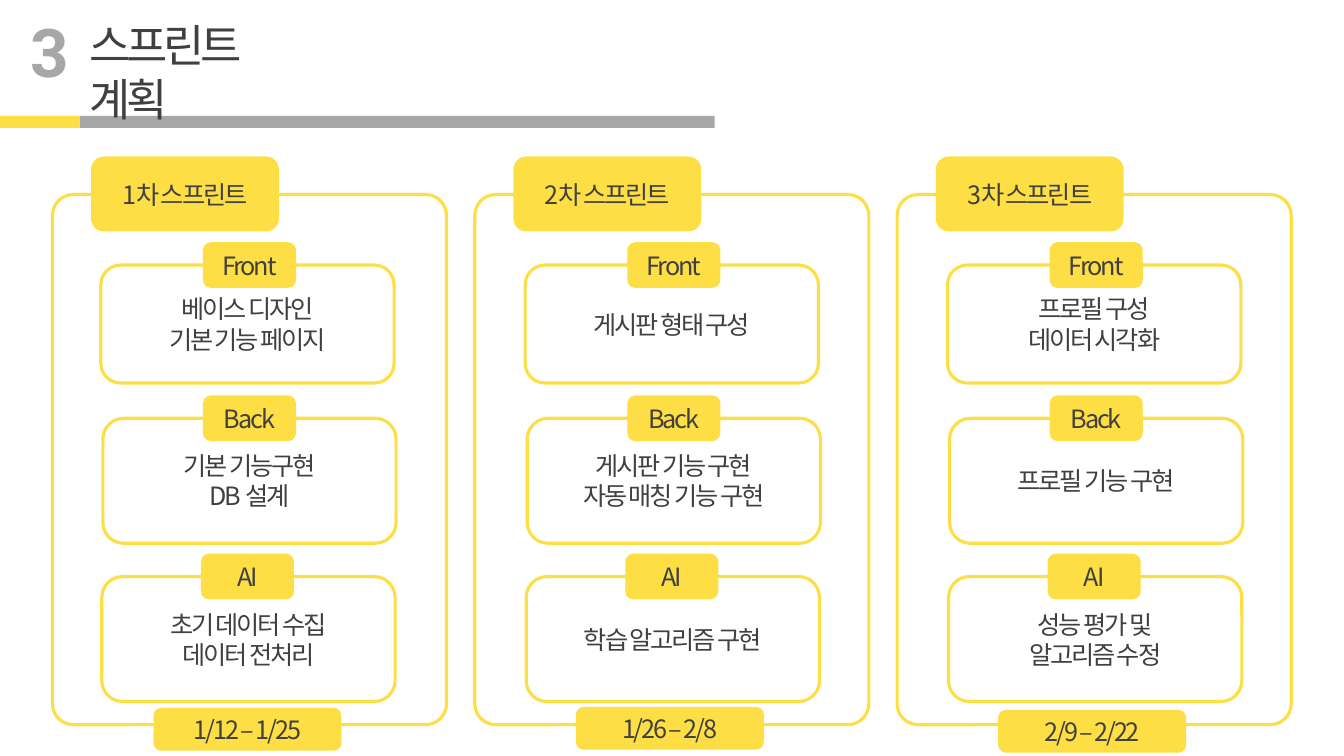
from lxml import etree
from pptx import Presentation
from pptx.dml.color import RGBColor
from pptx.enum import shapes, text
from pptx.oxml import ns
from pptx import util as u

CELL = u.Inches(0.1)  # grid unit for every length below
COLS, ROWS = 133.33, 75
FIRST, PITCH = 5.2, 41.9  # left edge of first sprint, step between sprints
PAL = {"sun": "FDDE45", "gray": "A6A7A9", "ink": "404040"}
RECT = shapes.MSO_SHAPE.RECTANGLE
ROUND = shapes.MSO_SHAPE.ROUNDED_RECTANGLE
BODY = {"size": 18, "face": "Noto Sans CJK KR", "hue": "ink", "gap": -150}
HEAD = {"size": 32, "face": "Roboto", "hue": "ink", "gap": -300}
NUM = {"size": 48, "face": "Roboto", "hue": "gray", "bold": True}

# team, box left, box top, box height, label left (lefts count from the sprint)
TEAMS = [
    ("Front", 4.8, 26.3, 11.7, 15.0),
    ("Back", 5.0, 41.5, 12.4, 15.0),
    ("AI", 4.9, 57.2, 12.4, 14.8),
]
# name, dates, top of dates, shift of the team boxes, tasks by team
SPRINTS = [
    ("1차 스프린트", "1/12 – 1/25", 70.3, 0,
     ["베이스 디자인\n기본 기능 페이지", "기본 기능구현\nDB 설계",
      "초기 데이터 수집\n데이터 전처리"]),
    ("2차 스프린트", "1/26 – 2/8", 70.2, 0.2,
     ["게시판 형태 구성", "게시판 기능 구현\n자동 매칭 기능 구현",
      "학습 알고리즘 구현"]),
    ("3차 스프린트", "2/9 – 2/22", 70.5, 0.2,
     ["프로필 구성\n데이터 시각화", "프로필 기능 구현",
      "성능 평가 및\n알고리즘 수정"]),
]


def cells(*nums):
    return [round(n * CELL) for n in nums]


def tint(hue):
    return RGBColor.from_string(PAL[hue])


def write(frame, words, look, align=None):
    """Fill a text frame, one paragraph for each line of words."""
    frame.text = words
    for para in frame.paragraphs:
        para.alignment = align
        for run in para.runs:
            font = run.font
            vals = {"size": u.Pt(look["size"]), "name": look["face"],
                    "bold": look.get("bold", False)}
            for key, val in vals.items():
                setattr(font, key, val)
            font.color.rgb = tint(look["hue"])
            props = run._r.get_or_add_rPr()
            props.set("spc", str(look.get("gap", 0)))
            east = etree.SubElement(props, ns.qn("a:ea"))
            east.set("typeface", look["face"])


def block(slide, kind, at, fill=None, line=None, words=None):
    """Add a shape; line is its width in points, always yellow."""
    shape = slide.shapes.add_shape(kind, *cells(*at))
    shape.shadow.inherit = False
    if fill:
        shape.fill.solid()
        shape.fill.fore_color.rgb = tint(fill)
    else:
        shape.fill.background()
    if line:
        shape.line.color.rgb = tint("sun")
        shape.line.width = u.Pt(line)
    else:
        shape.line.fill.background()
    if words:
        shape.text_frame.vertical_anchor = text.MSO_ANCHOR.MIDDLE
        write(shape.text_frame, words, BODY, text.PP_ALIGN.CENTER)
    return shape


def tag(slide, words, *at):
    block(slide, ROUND, at, "sun", 1, words)


def label(slide, words, look, at, wrap):
    frame = slide.shapes.add_textbox(*cells(*at)).text_frame
    frame.word_wrap = wrap
    write(frame, words, look)


def header(slide):
    block(slide, RECT, (7.9, 11.5, 63, 1.2), "gray")
    block(slide, RECT, (0, 11.5, 7.9, 1.2), "sun")
    label(slide, "스프린트 계획", HEAD, (7.9, 1.3, 22, 6.4), True)
    label(slide, "3", NUM, (2, 0.5, 5.8, 9.1), False)


def sprint(slide, left, name, dates, foot, shift, tasks):
    frame = block(slide, ROUND, (left, 19.3, 39.1, 52.6), line=2.25)
    frame.adjustments[0] = 0.053
    tag(slide, name, left + 3.9, 15.6, 18.5, 7.3)
    for (team, box, top, high, mark), task in zip(TEAMS, tasks):
        start = left + shift
        block(slide, ROUND, (start + box, top, 29.1, high), line=2.25, words=task)
        tag(slide, team, start + mark, top - 2.2, 9.1, 4.4)
    tag(slide, dates, left + 10.1, foot, 18.5, 4.1)


def main():
    deck = Presentation()
    deck.slide_width, deck.slide_height = cells(COLS, ROWS)
    slide = deck.slides.add_slide(deck.slide_layouts[6])
    header(slide)
    for i, plan in enumerate(SPRINTS):
        sprint(slide, FIRST + i * PITCH, *plan)
    deck.save("out.pptx")


if __name__ == "__main__":
    main()
